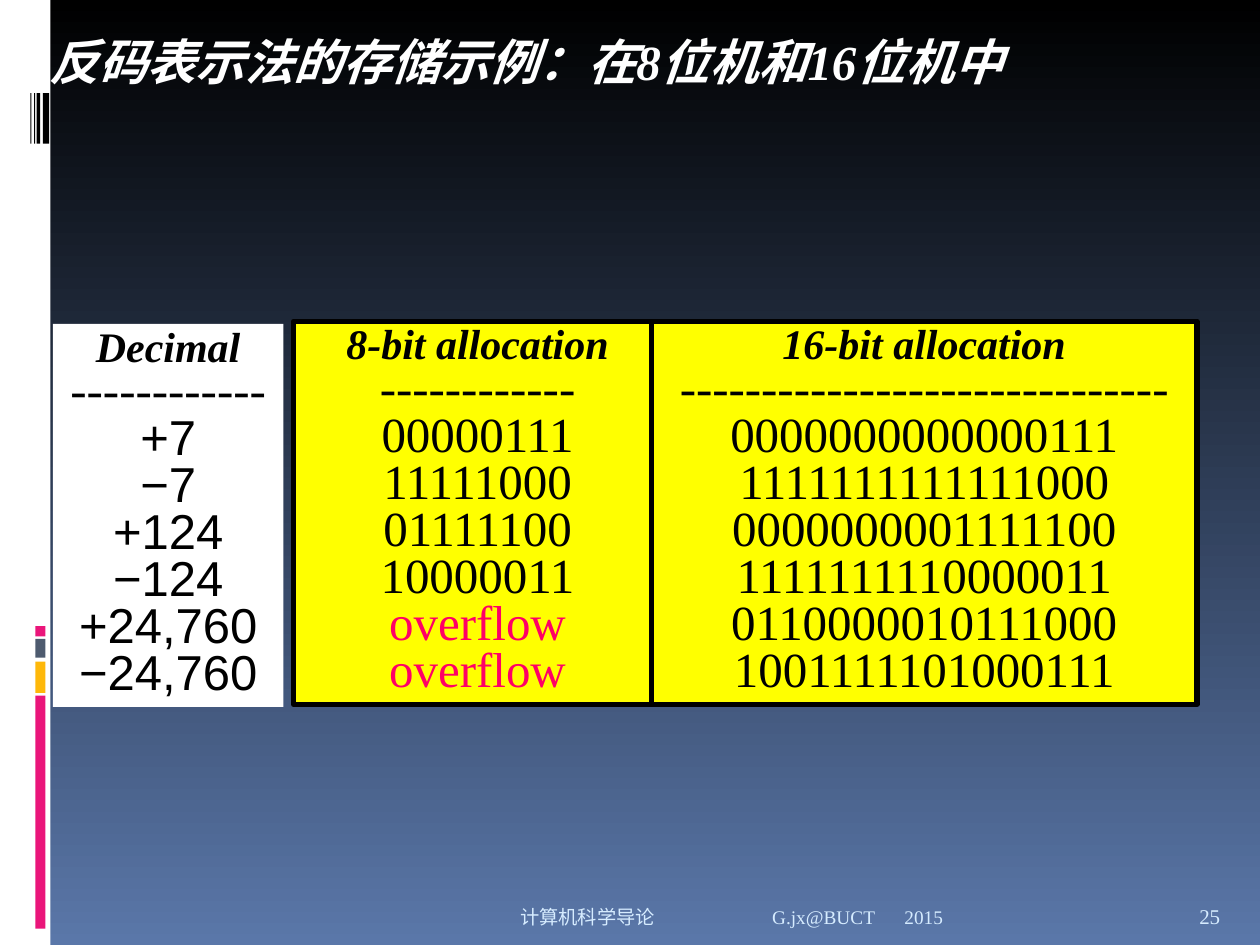
import pptx
import pptx.util
import pptx.dml.color
import pptx.enum.shapes
import pptx.enum.text
import pptx.oxml
import pptx.oxml.ns

Pt = pptx.util.Pt
ALIGN = pptx.enum.text.PP_ALIGN
ANCHOR = pptx.enum.text.MSO_ANCHOR
FIT = pptx.enum.text.MSO_AUTO_SIZE

COLORS = {
    "black": "000000",
    "white": "FFFFFF",
    "blue": "5A77A9",
    "slate": "4E5B6F",
    "pink": "EA157A",
    "amber": "FEB80A",
    "yellow": "FFFF00",
    "overflow": "FF0066",
    "footer": "D6ECFF",
}
SERIF = "Times New Roman"
SANS = "Arial"

COLUMNS = [
    ((30.24, 185.04, 131.76, 218.88), "white", SANS, False, "Decimal", 12,
     ["+7", "−7", "+124", "−124", "+24,760", "−24,760"]),
    ((167.76, 183.6, 210.24, 218.88), "yellow", SERIF, True, "8-bit allocation", 12,
     ["00000111", "11111000", "01111100", "10000011", "overflow", "overflow"]),
    ((372.24, 183.6, 311.76, 218.88), "yellow", SERIF, True, "16-bit allocation", 30,
     ["0000000000000111", "1111111111111000", "0000000001111100",
      "1111111110000011", "0110000010111000", "1001111101000111"]),
]


def rgb(name):
    return pptx.dml.color.RGBColor.from_string(COLORS[name])


def add_span(para, text, size, color, font=SERIF, strong=False):
    span = para.add_run()
    span.text = text
    span.font.size = Pt(size)
    span.font.name = font
    span.font.bold = span.font.italic = strong
    span.font.color.rgb = rgb(color)


def add_rectangle(page, box, color):
    shape = page.shapes.add_shape(
        pptx.enum.shapes.MSO_SHAPE.RECTANGLE, *map(Pt, box))
    shape.shadow.inherit = False
    shape.fill.solid()
    shape.fill.fore_color.rgb = rgb(color)
    shape.line.fill.background()
    return shape


def paint_background(page):
    fill = page.background.fill
    fill.gradient()
    fill.gradient_angle = 270
    for stop, position, color in zip(fill.gradient_stops, (0, 1), ("black", "blue")):
        stop.position = position
        stop.color.rgb = rgb(color)


def add_side_band(page, box):
    left, top, width, height = box
    add_rectangle(page, box, "white")
    for offset, length, color in [(397.44, 133.2, "pink"), (378, 18, "amber"),
                                  (365.04, 10.8, "slate"), (357.84, 5.76, "pink")]:
        add_rectangle(page, (left + 20.16, top + offset, 5.76, length), color)
    for offset, thickness in [(24.48, 3.6), (20.88, 2.16), (19.44, 0.72), (17.28, 0.72)]:
        add_rectangle(page, (left + offset, top + 53.28, thickness, 28.8), "black")


def add_title(page, box):
    title = page.shapes.title
    title.left, title.top, title.width, title.height = map(Pt, box)
    frame = title.text_frame
    frame.word_wrap = False
    frame.auto_size = FIT.SHAPE_TO_FIT_TEXT
    frame.vertical_anchor = ANCHOR.TOP
    para = frame.paragraphs[0]
    para.alignment = ALIGN.LEFT
    add_span(para, "反码表示法的存储示例：在8位机和16位机中", 28, "white", strong=True)


def add_column(page, box, fill, font, outlined, heading, dashes, values):
    shape = add_rectangle(page, box, fill)
    if outlined:
        shape.line.color.rgb = rgb("black")
        shape.line.width = Pt(3)
    frame = shape.text_frame
    frame.word_wrap = True
    frame.auto_size = FIT.SHAPE_TO_FIT_TEXT
    frame.vertical_anchor = ANCHOR.TOP
    rows = [(heading, 24, SERIF, True), ("-" * dashes, 28, SERIF, False)]
    rows += [(value, 28, font, False) for value in values]
    for index, (text, size, face, strong) in enumerate(rows):
        para = frame.add_paragraph() if index else frame.paragraphs[0]
        para.alignment = ALIGN.CENTER
        para.line_spacing = 0.8
        color = "overflow" if text == "overflow" else "black"
        add_span(para, text, size, color, face, strong)


def add_tab_stops(para):
    properties = para._p.get_or_add_pPr()
    tabs = pptx.oxml.parse_xml(
        "<a:tabLst %s/>" % pptx.oxml.ns.nsdecls("a"))
    for inch in range(8):
        tabs.append(pptx.oxml.parse_xml(
            '<a:tab %s pos="%d" algn="l"/>' % (pptx.oxml.ns.nsdecls("a"), Pt(72 * inch))))
    properties.append(tabs)


def add_footer(page, box):
    left, top, width, height = box
    parts = [(0, 437.76, "计算机科学导论\tG.jx@BUCT ", 11, ALIGN.RIGHT),
             (437.76, 167.76, "2015", 11, ALIGN.LEFT),
             (606.24, 36, "25", 12, ALIGN.LEFT)]
    for offset, part_width, text, size, alignment in parts:
        frame = page.shapes.add_textbox(
            *map(Pt, (left + offset, top, part_width, height))).text_frame
        frame.word_wrap = True
        frame.vertical_anchor = ANCHOR.BOTTOM
        para = frame.paragraphs[0]
        para.alignment = alignment
        add_tab_stops(para)
        add_span(para, text, size, "footer")


def main():
    deck = pptx.Presentation()
    deck.slide_width, deck.slide_height = Pt(720), Pt(540)
    page = deck.slides.add_slide(deck.slide_layouts[5])
    paint_background(page)
    add_side_band(page, (0, 0, 28.8, 540))
    add_footer(page, (72, 505.44, 642.24, 28.8))
    add_title(page, (20.88, 14.4, 586.08, 41.04))
    for column in COLUMNS:
        add_column(page, *column)
    deck.save("out.pptx")


if __name__ == "__main__":
    main()
